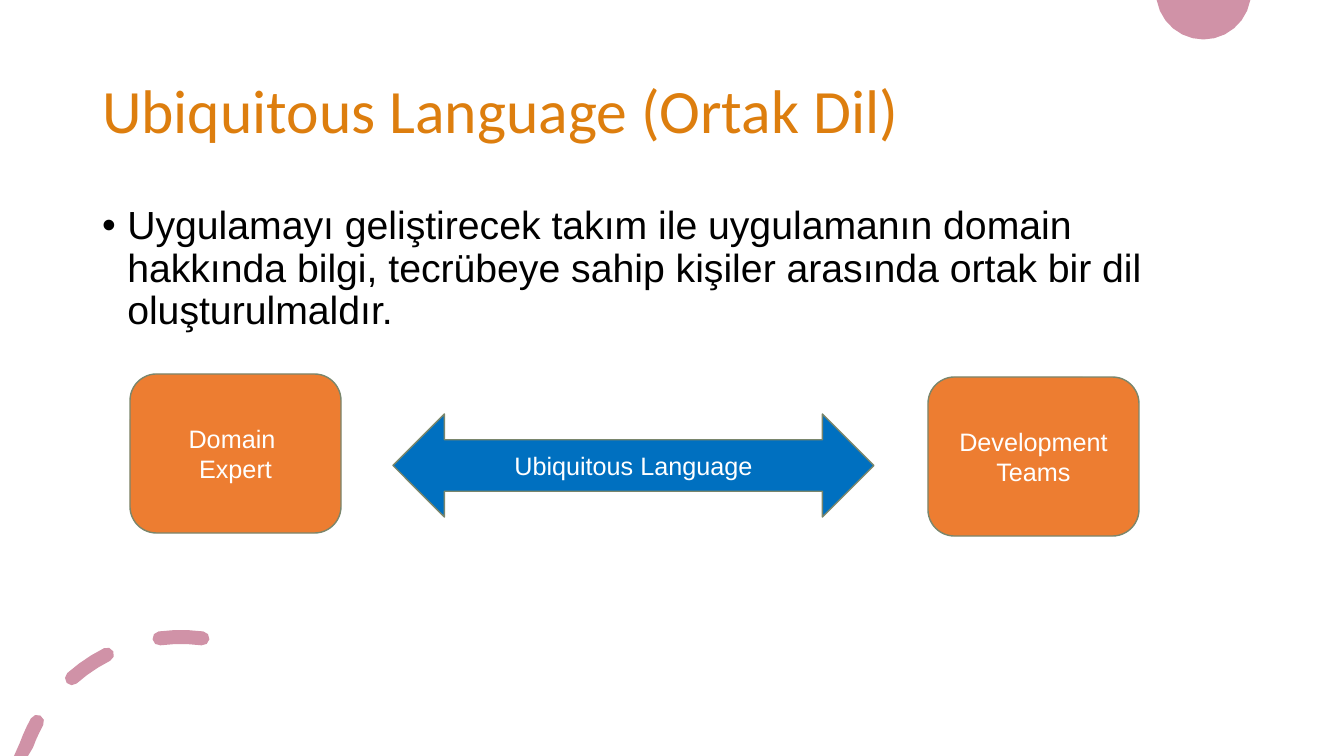
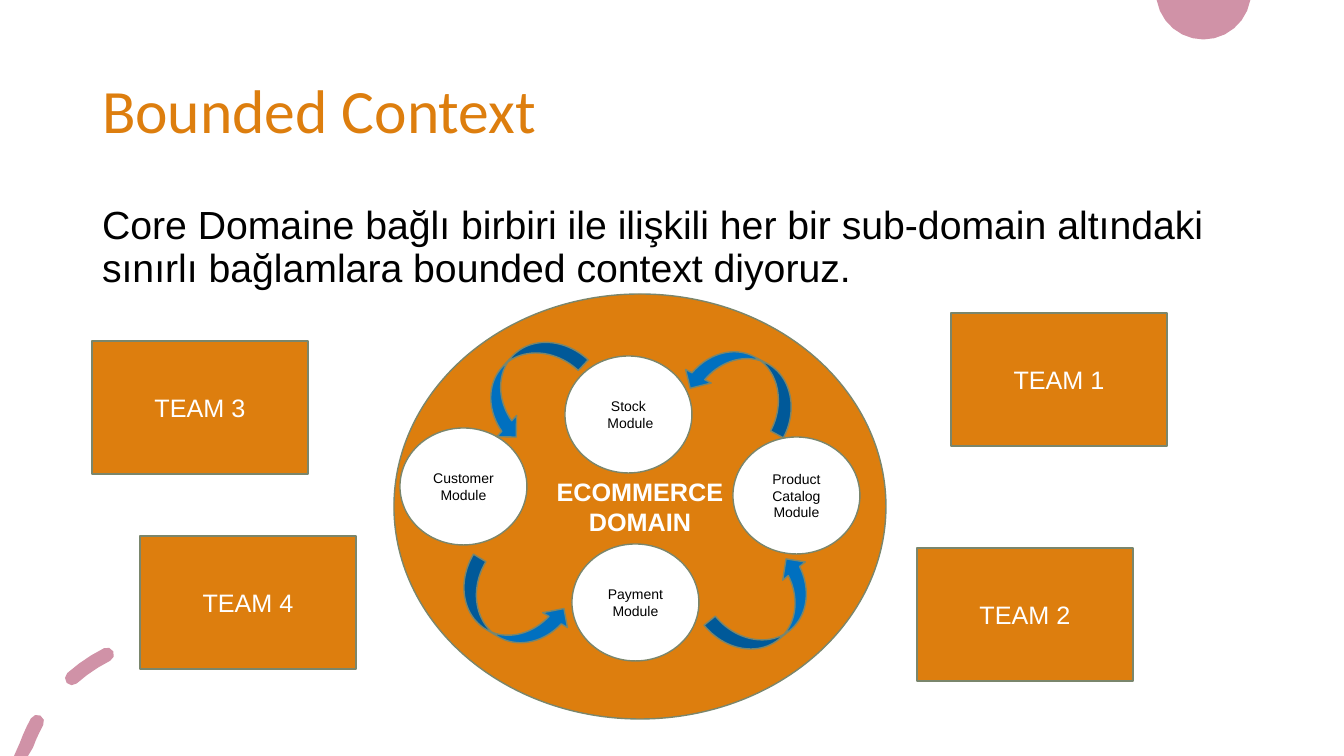
from dataclasses import dataclass
from math import cos, radians, sin

from lxml.etree import SubElement
from pptx import Presentation
from pptx.dml.color import RGBColor
from pptx.enum.shapes import MSO_SHAPE
from pptx.enum.text import MSO_ANCHOR, MSO_AUTO_SIZE, PP_ALIGN
from pptx.oxml.ns import qn
from pptx.util import Emu, Pt

PX = 12192000 / 1344  # EMU in one px


@dataclass(frozen=True)
class Theme:
    accent = RGBColor.from_string("DD7E0E")
    party = RGBColor.from_string("ED7D31")
    flow = RGBColor.from_string("0070C0")
    outline = RGBColor.from_string("7A866C")
    ornament = RGBColor.from_string("D092A7")
    light = RGBColor.from_string("FFFFFF")
    dark = RGBColor.from_string("000000")
    title_font = "Calibri"
    text_font = "Arial"
    title_size = Pt(44)
    body_size = Pt(28)
    label_size = Pt(18)
    module_size = Pt(10)
    outline_width = Pt(1)


theme = Theme()


def arc_points(center, radius, start, end, steps):
    """Points in px along an arc; angles are degrees clockwise from twelve o'clock."""
    angles = [radians(start + (end - start) * step / steps) for step in range(steps + 1)]
    return [(center[0] + radius * sin(a), center[1] - radius * cos(a)) for a in angles]


def add_node(slide, preset, box, fill, text="", size=theme.label_size,
             color=theme.light, bold=False):
    node = slide.shapes.add_shape(preset, *(Emu(round(length * PX)) for length in box))
    node.shadow.inherit = False
    node.fill.solid()
    node.fill.fore_color.rgb = fill
    node.line.color.rgb = theme.outline
    node.line.width = theme.outline_width
    node.text_frame.text = text
    node.text_frame.vertical_anchor = MSO_ANCHOR.MIDDLE
    for paragraph in node.text_frame.paragraphs:
        paragraph.alignment = PP_ALIGN.CENTER
        for run in paragraph.runs:
            run.font.name = theme.text_font
            run.font.size = size
            run.font.bold = bold
            run.font.color.rgb = color
    return node


deck = Presentation()
deck.slide_width = Emu(round(1344 * PX))
deck.slide_height = Emu(round(756 * PX))
layout = deck.slide_layouts[1]

# Shared layout: title and body areas
for area, (left, top, width, height) in zip(
        layout.placeholders, [(92, 41, 1159, 146), (92, 201, 1159, 425)]):
    area.left, area.top = Emu(round(left * PX)), Emu(round(top * PX))
    area.width, area.height = Emu(round(width * PX)), Emu(round(height * PX))

# Slides with their title and body text
topics = [
    ("Ubiquitous Language (Ortak Dil)",
     "Uygulamayı geliştirecek takım ile uygulamanın domain hakkında bilgi, "
     "tecrübeye sahip kişiler arasında ortak bir dil oluşturulmaldır.", True),
    ("Bounded Context",
     "Core Domaine bağlı birbiri ile ilişkili her bir sub-domain altındaki "
     "sınırlı bağlamlara bounded context diyoruz.", False),
]
slides = []
for title, body, bulleted in topics:
    slide = deck.slides.add_slide(layout)
    slides.append(slide)
    styles = [
        (title, theme.title_font, theme.title_size, theme.accent, MSO_ANCHOR.MIDDLE, 0),
        (body, theme.text_font, theme.body_size, theme.dark, MSO_ANCHOR.TOP, 10),
    ]
    for placeholder, (text, font, size, color, anchor, space) in zip(slide.placeholders, styles):
        frame = placeholder.text_frame
        frame.text = text
        frame.word_wrap = True
        frame.auto_size = MSO_AUTO_SIZE.NONE
        frame.vertical_anchor = anchor
        paragraph = frame.paragraphs[0]
        paragraph.alignment = PP_ALIGN.LEFT
        paragraph.line_spacing = 0.9
        paragraph.space_before = Pt(space)
        run_font = paragraph.runs[0].font
        run_font.name, run_font.size = font, size
        run_font.color.rgb = color

    # The body is the last placeholder of the loop above
    properties = paragraph._p.get_or_add_pPr()
    indent = Pt(18) if bulleted else 0
    properties.set("marL", str(indent))
    properties.set("indent", str(-indent))
    if bulleted:
        SubElement(properties, qn("a:buFont")).set("typeface", theme.text_font)
        SubElement(properties, qn("a:buChar")).set("char", "•")
    else:
        SubElement(properties, qn("a:buNone"))

language_slide, context_slide = slides

# Ornaments: a half disc and a dashed ring, moved to the shared layout
half_disc = arc_points((1203.5, -8), 47.5, 100, 260, 12)
ring_center, ring_radius, cap_radius = (181, 801.5), 164.5, 7
dashes = []
for start, end in [(-70, -61), (-41.5, -26.7), (-7.5, 7.5)]:
    outer = arc_points(ring_center, ring_radius + cap_radius, start, end, 3)
    inner = arc_points(ring_center, ring_radius - cap_radius, end, start, 3)
    start_center, end_center = arc_points(ring_center, ring_radius, start, end, 1)
    end_cap = arc_points(end_center, cap_radius, end, end + 180, 4)[1:-1]
    start_cap = arc_points(start_center, cap_radius, start + 180, start + 360, 4)[1:-1]
    if start == -70:  # this dash runs out at the slide's bottom edge
        start_cap = [(28, 756), (14, 756)]
    dashes.append(outer + end_cap + inner + start_cap)

for contours in [[half_disc], dashes]:
    builder = None
    for contour in contours:
        first, *others = [(x * PX, y * PX) for x, y in contour]
        if builder is None:
            builder = language_slide.shapes.build_freeform(*first)
        else:
            builder.move_to(*first)
        builder.add_line_segments(others, close=True)
    ornament = builder.convert_to_shape()
    ornament.shadow.inherit = False
    ornament.fill.solid()
    ornament.fill.fore_color.rgb = theme.ornament
    ornament.line.fill.background()
    layout.shapes.element.append(ornament.element)

# Ubiquitous Language: two parties and the language between them
for left, top, party in [(130, 374, "Domain \nExpert"), (928, 377, "Development\nTeams")]:
    add_node(language_slide, MSO_SHAPE.ROUNDED_RECTANGLE, (left, top, 211, 159),
             theme.party, party)
add_node(language_slide, MSO_SHAPE.LEFT_RIGHT_ARROW, (393, 414, 481, 103),
         theme.flow, "Ubiquitous Language")

# Bounded Context: the domain, its modules, their cycle and the teams
add_node(context_slide, MSO_SHAPE.OVAL, (394, 294, 492, 425), theme.accent,
         "ECOMMERCE\vDOMAIN", bold=True)
modules = [
    (400, 428, "Customer Module"),
    (565, 356, "Stock\n Module"),
    (572, 544, "Payment Module"),
    (733, 437, "Product Catalog Module"),
]
for left, top, module in modules:
    add_node(context_slide, MSO_SHAPE.OVAL, (left, top, 127, 117), theme.light,
             module, theme.module_size, theme.dark)
for left, top, angle in [(450, 581, 31), (709, 581, 321), (466, 355, 133), (684, 355, 208)]:
    cycle_arrow = add_node(context_slide, MSO_SHAPE.CURVED_UP_ARROW,
                           (left, top, 120, 58), theme.flow)
    cycle_arrow.rotation = angle
team_corners = [(951, 313), (917, 548), (92, 341), (140, 536)]
for number, (left, top) in enumerate(team_corners, start=1):
    add_node(context_slide, MSO_SHAPE.RECTANGLE, (left, top, 216, 133),
             theme.accent, f"TEAM {number}")

deck.save("out.pptx")
